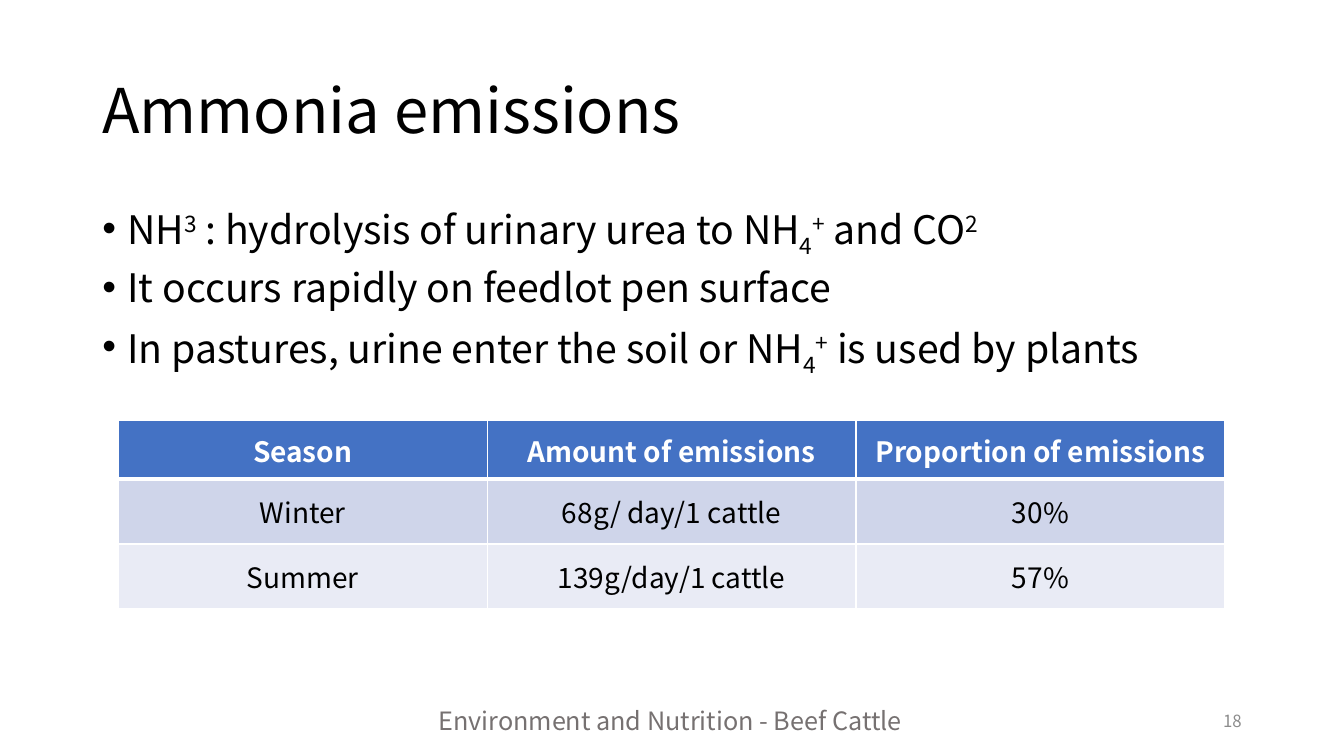
from lxml import etree
from pptx import Presentation
from pptx.dml.color import RGBColor
from pptx.enum.text import MSO_ANCHOR, PP_ALIGN
from pptx.oxml.ns import qn
from pptx.util import Pt

LEFT, CENTER, RIGHT = PP_ALIGN.LEFT, PP_ALIGN.CENTER, PP_ALIGN.RIGHT
TOP, MIDDLE = MSO_ANCHOR.TOP, MSO_ANCHOR.MIDDLE

FONT = "Noto Sans CJK KR"
BLACK = RGBColor(0x00, 0x00, 0x00)
WHITE = RGBColor(0xFF, 0xFF, 0xFF)
HEADER_BLUE = RGBColor(0x44, 0x72, 0xC4)
BAND_DARK = RGBColor(0xCF, 0xD5, 0xEA)
BAND_LIGHT = RGBColor(0xE9, 0xEB, 0xF5)
FOOTER_GRAY = RGBColor(0x76, 0x71, 0x71)
NUMBER_GRAY = RGBColor(0x8C, 0x8C, 0x8C)

SUPER, SUB = 30000, -25000
AMMONIUM = [("4", SUB), ("+", SUPER)]
POINTS = [
    [("NH", 0), ("3", SUPER), (" : hydrolysis of urinary urea to NH", 0),
     *AMMONIUM, (" and CO", 0), ("2", SUPER)],
    [("It occurs rapidly on feedlot pen surface", 0)],
    [("In pastures, urine enter the soil or NH", 0), *AMMONIUM,
     (" is used by plants", 0)],
]
EMISSIONS = [
    ["Season", "Amount of emissions", "Proportion of emissions"],
    ["Winter", "68g/ day/1 cattle", "30%"],
    ["Summer", "139g/day/1 cattle", "57%"],
]
ROW_HEIGHTS = [41.8, 46.3, 46.3]
ROW_FILLS = [HEADER_BLUE, BAND_DARK, BAND_LIGHT]
COLUMN_WIDTH = 263.5


def write(paragraph, text, size=20, color=BLACK, bold=False, align=LEFT,
          spacing=1.0, before=0, baseline=0):
    """Add formatted text to a paragraph."""
    paragraph.alignment = align
    paragraph.line_spacing = spacing
    paragraph.space_before = Pt(before)
    run = paragraph.add_run()
    run.text = text
    run.font.name = FONT
    run.font.size = Pt(size)
    run.font.bold = bold
    run.font.color.rgb = color
    if baseline:
        run.font._element.set("baseline", str(baseline))


def place(box, left, top, width, height):
    """Position a shape, with all lengths in points."""
    box.left, box.top = Pt(left), Pt(top)
    box.width, box.height = Pt(width), Pt(height)


def add_text_frame(slide, left, top, width, height, anchor=TOP):
    """Add a wrapping text box and return its text frame."""
    box = slide.shapes.add_textbox(Pt(left), Pt(top), Pt(width), Pt(height))
    box.text_frame.word_wrap = True
    box.text_frame.vertical_anchor = anchor
    return box.text_frame


def set_bullet(paragraph, indent=18):
    """Give a paragraph a round bullet with a hanging indent."""
    properties = paragraph._p.get_or_add_pPr()
    properties.set("marL", str(Pt(indent)))
    properties.set("indent", str(-Pt(indent)))
    etree.SubElement(properties, qn("a:buFont"), typeface="Arial")
    etree.SubElement(properties, qn("a:buChar"), char="•")


def set_borders(cell, widths):
    """Draw white cell borders, with widths in points by side."""
    properties = cell._tc.get_or_add_tcPr()
    for side, width in widths.items():
        line = etree.SubElement(properties, qn(f"a:ln{side}"), w=str(Pt(width)))
        fill = etree.SubElement(line, qn("a:solidFill"))
        etree.SubElement(fill, qn("a:srgbClr"), val=str(WHITE))


def add_title(slide, text):
    """Move and fill the title placeholder."""
    title = slide.shapes.title
    place(title, 66, 28.75, 828, 104.4)
    title.text_frame.vertical_anchor = MIDDLE
    write(title.text_frame.paragraphs[0], text, size=44, spacing=0.9)


def add_points(slide, points):
    """Add the bulleted points with their sub- and superscripts."""
    frame = add_text_frame(slide, 66, 143.75, 828, 342.6)
    for index, point in enumerate(points):
        paragraph = frame.add_paragraph() if index else frame.paragraphs[0]
        for text, baseline in point:
            write(paragraph, text, size=28, spacing=0.9, before=10,
                  baseline=baseline)
        set_bullet(paragraph)


def add_emissions_table(slide, rows):
    """Add the banded table of seasonal emissions."""
    columns = len(rows[0])
    table = slide.shapes.add_table(
        len(rows), columns, Pt(84.5), Pt(300.5),
        Pt(COLUMN_WIDTH * columns), Pt(sum(ROW_HEIGHTS))).table
    for column in table.columns:
        column.width = Pt(COLUMN_WIDTH)
    for r, values in enumerate(rows):
        table.rows[r].height = Pt(ROW_HEIGHTS[r])
        header = r == 0
        for c, value in enumerate(values):
            cell = table.cell(r, c)
            set_borders(cell, {"L": 1, "R": 1, "T": 3 if r == 1 else 1,
                               "B": 3 if header else 1})
            cell.fill.solid()
            cell.fill.fore_color.rgb = ROW_FILLS[r]
            cell.vertical_anchor = MIDDLE
            write(cell.text_frame.paragraphs[0], value, align=CENTER,
                  bold=header, color=WHITE if header else BLACK)


def add_footer(slide, text, number):
    """Add the slide number and the footer text."""
    number_frame = add_text_frame(slide, 678, 500.5, 216, 28.75, MIDDLE)
    write(number_frame.paragraphs[0], number, size=12, color=NUMBER_GRAY,
          align=RIGHT)
    footer_frame = add_text_frame(slide, 306, 500.5, 348, 29)
    write(footer_frame.paragraphs[0], text, size=18, color=FOOTER_GRAY)


def main():
    """Build the slide and save it."""
    deck = Presentation()
    deck.slide_width, deck.slide_height = Pt(960), Pt(540)
    slide = deck.slides.add_slide(deck.slide_layouts[5])
    add_title(slide, "Ammonia emissions")
    add_points(slide, POINTS)
    add_emissions_table(slide, EMISSIONS)
    add_footer(slide, "Environment and Nutrition - Beef Cattle", "18")
    deck.save("out.pptx")


if __name__ == "__main__":
    main()
